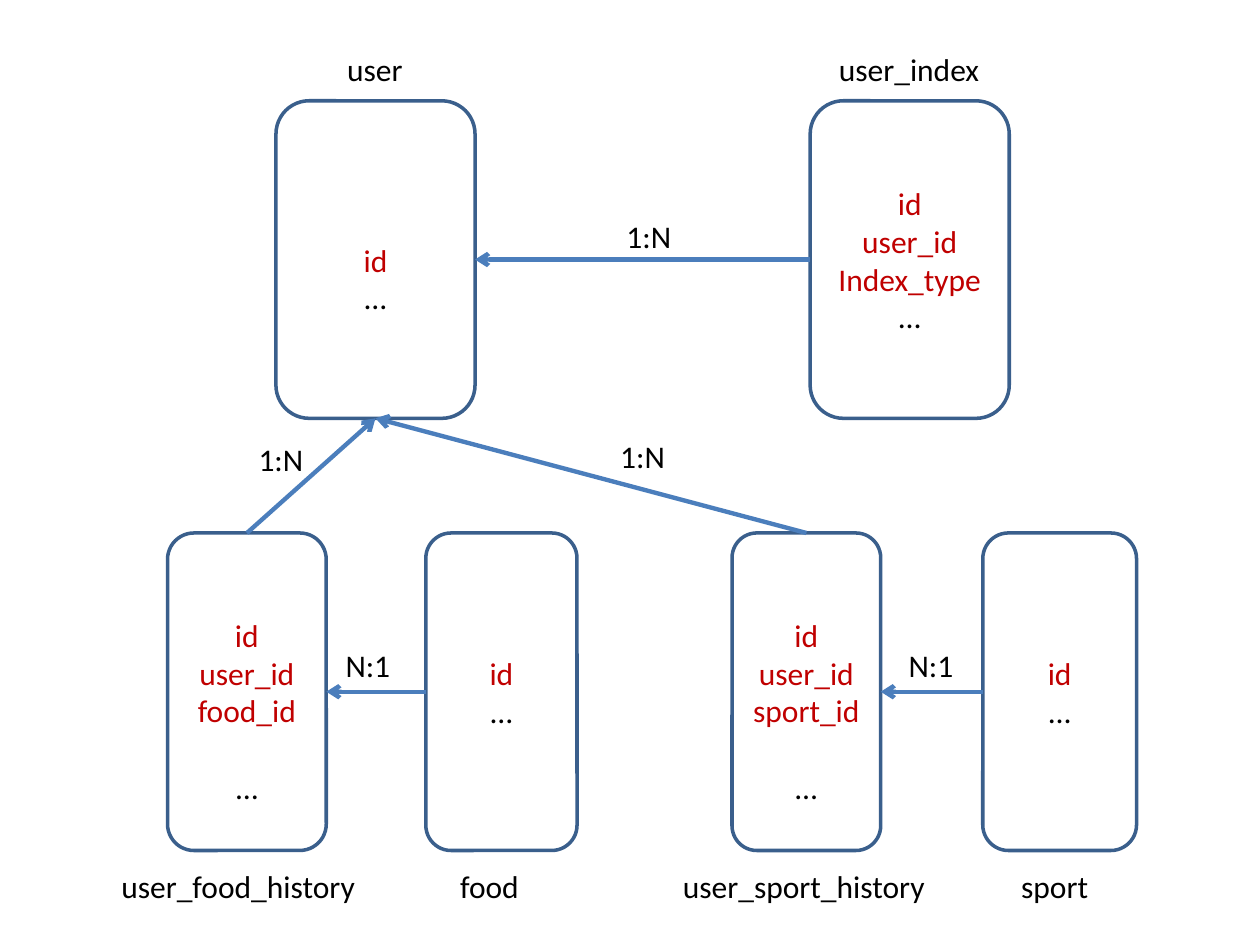
from pptx import Presentation
from pptx.dml.color import RGBColor
from pptx.enum.shapes import MSO_CONNECTOR, MSO_SHAPE
from pptx.enum.text import MSO_ANCHOR, PP_ALIGN
from pptx.oxml.ns import qn
from pptx.util import Inches, Pt
from lxml.etree import SubElement

BLACK, RED, BORDER, ARROW = "000000", "C00000", "3A5F8C", "4B7EBC"
LINE = 0.3  # height of one text line
UPPER, LOWER = 0.8, 4.23  # tops of the two rows of tables
TOP, LEFT, BOTTOM, RIGHT = range(4)  # connection sites of a box


def rgb(value):
    return RGBColor.from_string(value)


def add_text(p, text, color=BLACK, size=18, font="Calibri", before=0):
    p.alignment = PP_ALIGN.CENTER
    p.space_before = Pt(before)
    r = p.add_run()
    r.text = text
    r.font.name, r.font.size = font, Pt(size)
    r.font.color.rgb = rgb(color)


prs = Presentation()
prs.slide_width, prs.slide_height = Inches(10), Inches(7.5)
s = prs.slides.add_slide(prs.slide_layouts[6])

# Tables: name, left, top, width, key fields, lines skipped on top, points above "…"
tables = [
    ("user", 2.19, UPPER, 1.58, ["id"], 1, 0),
    ("user_index", 6.43, UPPER, 1.58, ["id", "user_id", "Index_type"], 0, 0),
    ("user_food_history", 1.33, LOWER, 1.26, ["id", "user_id", "food_id"], 1, 22),
    ("food", 3.38, LOWER, 1.2, ["id"], 0, 0),
    ("user_sport_history", 5.81, LOWER, 1.18, ["id", "user_id", "sport_id"], 1, 22),
    ("sport", 7.8, LOWER, 1.22, ["id"], 0, 0),
]
boxes = {}
for name, left, top, width, fields, skipped, gap in tables:
    sp = s.shapes.add_shape(MSO_SHAPE.ROUNDED_RECTANGLE, Inches(left), Inches(top),
                            Inches(width), Inches(2.52))
    sp.shadow.inherit = False
    sp.fill.solid()
    sp.fill.fore_color.rgb = rgb("FFFFFF")
    sp.line.color.rgb = rgb(BORDER)
    sp.line.width = Pt(2)
    tf = sp.text_frame
    tf.word_wrap = True
    tf.vertical_anchor = MSO_ANCHOR.MIDDLE
    tf.margin_left = tf.margin_right = Inches(0.03)
    tf.margin_top = Inches(0.05 + skipped * LINE)
    for i, field in enumerate(fields):
        add_text(tf.add_paragraph() if i else tf.paragraphs[0], field, color=RED)
    add_text(tf.add_paragraph(), "…", before=gap)
    boxes[name] = sp

# Relations: from table and site to table and site
relations = [
    ("user_index", LEFT, "user", RIGHT),
    ("food", LEFT, "user_food_history", RIGHT),
    ("user_food_history", TOP, "user", BOTTOM),
    ("sport", LEFT, "user_sport_history", RIGHT),
    ("user_sport_history", TOP, "user", BOTTOM),
]
for source, start, target, end in relations:
    c = s.shapes.add_connector(MSO_CONNECTOR.STRAIGHT, 0, 0, 0, 0)
    c.begin_connect(boxes[source], start)
    c.end_connect(boxes[target], end)
    c.line.color.rgb = rgb(ARROW)
    c.line.width = Pt(2.5)
    SubElement(c.line._get_or_add_ln(), qn("a:tailEnd"), type="arrow")
    SubElement(c._element.spPr, qn("a:effectLst"))

# Table names and cardinalities: text, left, top, width
labels = [
    ("user", 2.65, 0.35, 0.65),
    ("user_index", 6.55, 0.35, 1.33),
    ("user_food_history", 0.85, 6.83, 2.08),
    ("food", 3.55, 6.83, 0.67),
    ("user_sport_history", 5.31, 6.83, 2.14),
    ("sport", 8, 6.83, 0.74),
    ("1:N", 4.87, 1.67, 0.56),
    ("1:N", 1.95, 3.44, 0.56),
    ("1:N", 4.82, 3.42, 0.56),
    ("N:1", 2.64, 5.08, 0.56),
    ("N:1", 7.11, 5.08, 0.56),
]
for text, left, top, width in labels:
    sp = s.shapes.add_textbox(Inches(left), Inches(top), Inches(width), Inches(0.4))
    sp.text_frame.word_wrap = False
    add_text(sp.text_frame.paragraphs[0], text)

prs.save("out.pptx")
